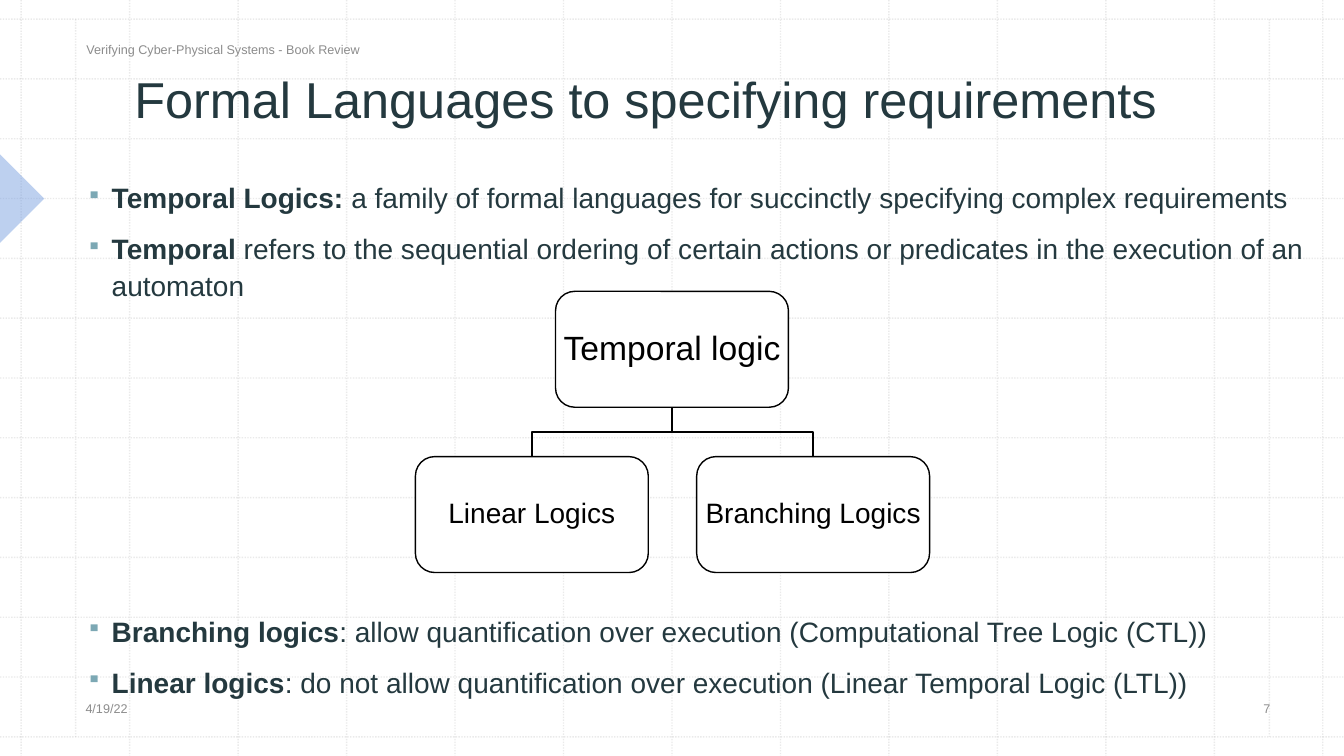
from dataclasses import dataclass

from lxml import etree
from pptx import Presentation
from pptx.dml.color import RGBColor
from pptx.enum.dml import MSO_LINE
from pptx.enum.shapes import MSO_CONNECTOR, MSO_SHAPE
from pptx.enum.text import MSO_ANCHOR, PP_ALIGN
from pptx.oxml.ns import qn
from pptx.util import Inches, Pt

ROUND, TRI = MSO_SHAPE.ROUNDED_RECTANGLE, MSO_SHAPE.RIGHT_TRIANGLE
STRAIGHT, DOT = MSO_CONNECTOR.STRAIGHT, MSO_LINE.ROUND_DOT
LEFT, CENTER = PP_ALIGN.LEFT, PP_ALIGN.CENTER
TOP, MIDDLE, BOTTOM = MSO_ANCHOR.TOP, MSO_ANCHOR.MIDDLE, MSO_ANCHOR.BOTTOM

FONT = "Arial"
DARK, GRAY, GRID = "24393F", "8C8C8C", "BCBCBC"
BLACK, WHITE, BLUE, TEAL = "000000", "FFFFFF", "7CA2E1", "7CA8B4"
WIDE, HIGH = 13.33, 7.5
NODE_W, NODE_H = 2.31, 1.15


@dataclass
class Label:
    text: str
    x: float
    y: float
    w: float
    h: float
    size: int = 9
    color: str = GRAY
    align: PP_ALIGN = LEFT
    anchor: MSO_ANCHOR = MIDDLE


@dataclass
class Point:
    term: str
    rest: str


@dataclass
class Node:
    text: str
    x: float
    y: float
    size: int


LABELS = [
    Label("Formal Languages to specifying requirements",
          0.76, 0.53, 11.29, 0.8, 36, DARK, CENTER, BOTTOM),
    Label("4/19/22", 0.75, 6.8, 4.2, 0.46),
    Label("Verifying Cyber-Physical Systems - Book Review", 0.76, 0.26, 4.5, 0.46),
    Label("7", 12.03, 6.8, 1.07, 0.46, align=CENTER),
]
INTRO = [
    Point("Temporal Logics: ",
          "a family of formal languages for succinctly specifying complex requirements"),
    Point("Temporal", " refers to the sequential ordering of certain actions or "
          "predicates in the execution of an automaton"),
]
KINDS = [
    Point("Branching logics",
          ": allow quantification over execution (Computational Tree Logic (CTL))"),
    Point("Linear logics",
          ": do not allow quantification over execution (Linear Temporal Logic (LTL))"),
]
ROOT = Node("Temporal logic", 5.51, 2.89, 24)
LEAVES = [Node("Linear Logics", 4.12, 4.53, 20),
          Node("Branching Logics", 6.91, 4.53, 20)]


def rgb(code: str) -> RGBColor:
    return RGBColor.from_string(code)


def fade(shape, percent: int) -> None:
    """Make the colours of a shape partly transparent."""
    for color in shape.element.spPr.iter(qn("a:srgbClr")):
        etree.SubElement(color, qn("a:alpha"), val=str(percent * 1000))


def add_run(para, text: str, size: int, color: str, bold: bool = False) -> None:
    run = para.add_run()
    run.text = text
    run.font.name, run.font.size, run.font.bold = FONT, Pt(size), bold
    run.font.color.rgb = rgb(color)


def add_box(slide, x: float, y: float, w: float, h: float, anchor: MSO_ANCHOR):
    box = slide.shapes.add_textbox(Inches(x), Inches(y), Inches(w), Inches(h))
    frame = box.text_frame
    frame.word_wrap, frame.vertical_anchor = True, anchor
    return frame


def add_label(slide, label: Label) -> None:
    frame = add_box(slide, label.x, label.y, label.w, label.h, label.anchor)
    para = frame.paragraphs[0]
    para.alignment = label.align
    add_run(para, label.text, label.size, label.color)


def add_bullet(para) -> None:
    props = para._p.get_or_add_pPr()
    props.set("marL", str(Inches(0.25)))
    props.set("indent", str(-Inches(0.25)))
    tint = etree.SubElement(props, qn("a:buClr"))
    etree.SubElement(tint, qn("a:srgbClr"), val=TEAL)
    etree.SubElement(props, qn("a:buSzPct"), val="75000")
    etree.SubElement(props, qn("a:buChar"), char="▪")


def add_points(slide, points: list[Point], y: float, h: float) -> None:
    frame = add_box(slide, 0.76, y, 12.57, h, TOP)
    for i, point in enumerate(points):
        para = frame.add_paragraph() if i else frame.paragraphs[0]
        add_bullet(para)
        para.line_spacing = 1.1
        if i:
            para.space_before = Pt(10)
        add_run(para, point.term, 20, DARK, True)
        add_run(para, point.rest, 20, DARK)


def add_rule(slide, x1: float, y1: float, x2: float, y2: float) -> None:
    rule = slide.shapes.add_connector(
        STRAIGHT, Inches(x1), Inches(y1), Inches(x2), Inches(y2))
    rule.line.color.rgb = rgb(GRID)
    rule.line.width, rule.line.dash_style = Pt(1), DOT
    fade(rule, 30)
    etree.SubElement(rule.element.spPr, qn("a:effectLst"))


def add_grid(slide) -> None:
    for i in range(13):
        x, y = 0.21 + i * 12.91 / 12, 0.19 + i * 7.12 / 12
        add_rule(slide, x, 0, x, HIGH)
        add_rule(slide, 0, y, WIDE, y)
    for x in (0.75, 12.59):
        add_rule(slide, x, 0.19, x, 7.31)


def add_marker(slide) -> None:
    mark = slide.shapes.add_shape(
        TRI, Inches(-0.31), Inches(1.66), Inches(0.62), Inches(0.62))
    mark.rotation = 225
    mark.shadow.inherit = False
    mark.fill.solid()
    mark.fill.fore_color.rgb = rgb(BLUE)
    fade(mark, 50)
    mark.line.fill.background()


def add_branch(slide, root: Node, leaf: Node) -> None:
    start, end = root.x + NODE_W / 2, leaf.x + NODE_W / 2
    base = root.y + NODE_H
    mid = (base + leaf.y) / 2
    path = slide.shapes.build_freeform(Inches(start), Inches(base))
    turns = [(start, mid), (end, mid), (end, leaf.y)]
    path.add_line_segments([(Inches(x), Inches(y)) for x, y in turns], close=False)
    branch = path.convert_to_shape()
    branch.shadow.inherit = False
    branch.fill.background()
    branch.line.color.rgb, branch.line.width = rgb(BLACK), Pt(1)


def add_node(slide, node: Node) -> None:
    shape = slide.shapes.add_shape(
        ROUND, Inches(node.x), Inches(node.y), Inches(NODE_W), Inches(NODE_H))
    shape.shadow.inherit = False
    shape.fill.solid()
    shape.fill.fore_color.rgb = rgb(WHITE)
    shape.line.color.rgb, shape.line.width = rgb(BLACK), Pt(1)
    frame = shape.text_frame
    frame.margin_left = frame.margin_right = Inches(0.01)
    frame.margin_top = frame.margin_bottom = Inches(0.01)
    frame.word_wrap, frame.vertical_anchor = True, MIDDLE
    para = frame.paragraphs[0]
    para.alignment, para.line_spacing = CENTER, 0.9
    add_run(para, node.text, node.size, BLACK)


def main() -> None:
    deck = Presentation()
    deck.slide_width, deck.slide_height = Inches(WIDE), Inches(HIGH)
    slide = deck.slides.add_slide(deck.slide_layouts[6])
    add_grid(slide)
    add_marker(slide)
    for label in LABELS:
        add_label(slide, label)
    add_points(slide, INTRO, 1.71, 1.35)
    add_points(slide, KINDS, 6.01, 1)
    for leaf in LEAVES:
        add_branch(slide, ROOT, leaf)
    for node in [ROOT, *LEAVES]:
        add_node(slide, node)
    deck.save("out.pptx")


if __name__ == "__main__":
    main()
